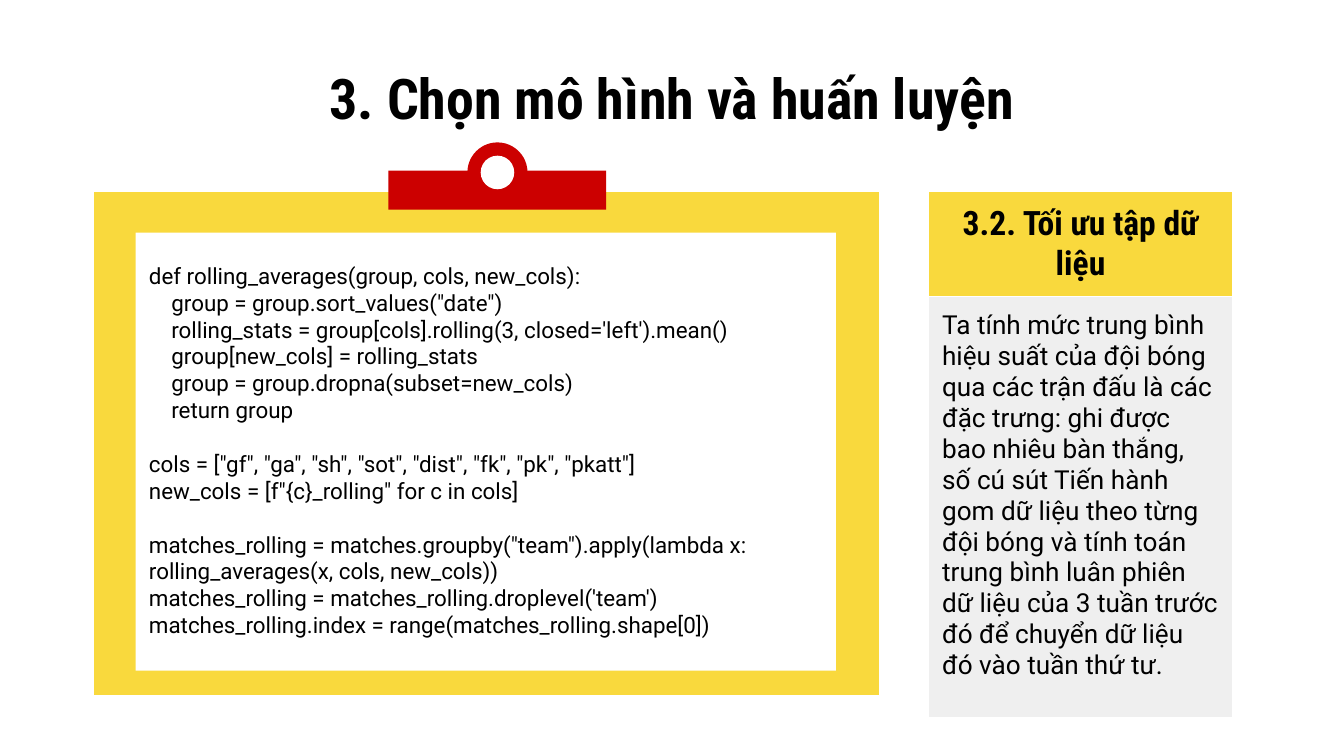
import pptx
import pptx.util
import pptx.dml.color
import pptx.enum.shapes
import pptx.enum.text
import pptx.oxml
import pptx.oxml.ns

Pt = pptx.util.Pt
Kind = pptx.enum.shapes.MSO_SHAPE
Align = pptx.enum.text.PP_ALIGN
Anchor = pptx.enum.text.MSO_ANCHOR
Fit = pptx.enum.text.MSO_AUTO_SIZE

YELLOW, RED, GRAY, WHITE, BLACK = "F9D93D", "CC0000", "EFEFEF", "FFFFFF", "000000"
HEAD, BODY = "Roboto Condensed", "Roboto"
STEP = 12

TITLE = "3. Chọn mô hình và huấn luyện"
TOPIC = "3.2. Tối ưu tập dữ liệu"
NOTE = (
    "Ta tính mức trung bình hiệu suất của đội bóng qua các trận đấu là các đặc trưng: "
    "ghi được bao nhiêu bàn thắng, số cú sút Tiến hành gom dữ liệu theo từng đội bóng "
    "và tính toán trung bình luân phiên dữ liệu của 3 tuần trước đó để chuyển dữ liệu "
    "đó vào tuần thứ tư."
)
CODE = [
    [
        (0, "def rolling_averages(group, cols, new_cols):"),
        (1, 'group = group.sort_values("date")'),
        (1, "rolling_stats = group[cols].rolling(3, closed='left').mean()"),
        (1, "group[new_cols] = rolling_stats"),
        (1, "group = group.dropna(subset=new_cols)"),
        (1, "return group"),
    ],
    [
        (0, 'cols = ["gf", "ga", "sh", "sot", "dist", "fk", "pk", "pkatt"]'),
        (0, 'new_cols = [f"{c}_rolling" for c in cols]'),
    ],
    [
        (0, 'matches_rolling = matches.groupby("team").apply(lambda x: '
            "rolling_averages(x, cols, new_cols))"),
        (0, "matches_rolling = matches_rolling.droplevel('team')"),
        (0, "matches_rolling.index = range(matches_rolling.shape[0])"),
    ],
]


def paint(fill, tone):
    fill.solid()
    fill.fore_color.rgb = pptx.dml.color.RGBColor.from_string(tone)


def write(para, text, size=12, font=BODY, bold=False, align=Align.LEFT,
          line=None, before=0, indent=0):
    para.alignment = align
    para.line_spacing = line
    para.space_before = Pt(before)
    if indent:
        para._p.get_or_add_pPr().set("marL", str(Pt(indent)))
    run = para.add_run()
    run.text = text
    run.font.name = font
    run.font.size = Pt(size)
    run.font.bold = bold
    paint(run.font.fill, BLACK)


def pad(frame, gap):
    frame.margin_left = frame.margin_right = Pt(gap)
    frame.margin_top = frame.margin_bottom = Pt(gap)


def block(group, kind, box, tone):
    shape = group.shapes.add_shape(kind, *map(Pt, box))
    shape.shadow.inherit = False
    shape.line.fill.background()
    paint(shape.fill, tone)
    return shape


def add_title(slide):
    title = slide.shapes.title
    title.left, title.top, title.width, title.height = map(Pt, (56.2, 42.5, 607.6, 32.4))
    frame = title.text_frame
    frame.auto_size = Fit.NONE
    frame.vertical_anchor = Anchor.MIDDLE
    pad(frame, 7.2)
    write(frame.paragraphs[0], TITLE, size=30, font=HEAD, bold=True,
          align=Align.CENTER, line=0.5)


def add_board(slide):
    group = slide.shapes.add_group_shape()
    block(group, Kind.RECTANGLE, (50.4, 103, 420.5, 269.3), YELLOW)
    block(group, Kind.RECTANGLE, (72.7, 124.6, 375.1, 234.7), WHITE)
    block(group, Kind.RECTANGLE, (208.1, 91.4, 116.6, 21), RED)
    arch = block(group, Kind.PIE, (250.4, 76.3, 32.2, 32.2), RED)
    arch.adjustments[0], arch.adjustments[1] = 108, 0
    block(group, Kind.OVAL, (257.5, 83.4, 18, 18), WHITE)


def edge(cell):
    props = cell._tc.get_or_add_tcPr()
    space = pptx.oxml.ns.nsdecls("a")
    for spot, side in enumerate(("lnL", "lnR", "lnT", "lnB")):
        props.insert(spot, pptx.oxml.parse_xml(
            f'<a:{side} {space} w="{Pt(0.75)}"><a:solidFill>'
            f'<a:srgbClr val="{WHITE}"/></a:solidFill></a:{side}>'))


def add_panel(slide):
    table = slide.shapes.add_table(2, 1, *map(Pt, (497.5, 102.4, 162.7, 270))).table
    table.first_row = table.horz_banding = False
    rows = [
        (44.6, YELLOW, Anchor.MIDDLE, TOPIC,
         dict(size=18, font=HEAD, bold=True, align=Align.CENTER)),
        (225.4, GRAY, Anchor.TOP, NOTE, dict(size=14)),
    ]
    for row, (high, tone, anchor, text, style) in zip(table.rows, rows):
        row.height = Pt(high)
        cell = row.cells[0]
        paint(cell.fill, tone)
        edge(cell)
        pad(cell, 7.2)
        cell.vertical_anchor = anchor
        write(cell.text_frame.paragraphs[0], text, **style)


def add_code(slide):
    frame = slide.shapes.add_textbox(*map(Pt, (72.7, 136.8, 375.1, 211))).text_frame
    frame.word_wrap = True
    frame.auto_size = Fit.SHAPE_TO_FIT_TEXT
    para = frame.paragraphs[0]
    for part, lines in enumerate(CODE):
        for spot, (depth, text) in enumerate(lines):
            if part or spot:
                para = frame.add_paragraph()
            gap = 14.4 if part and not spot else 0
            write(para, text, before=gap, indent=depth * STEP)


def main():
    deck = pptx.Presentation()
    deck.slide_width, deck.slide_height = Pt(720), Pt(405)
    slide = deck.slides.add_slide(deck.slide_layouts[5])
    add_board(slide)
    add_title(slide)
    add_panel(slide)
    add_code(slide)
    deck.save("out.pptx")


if __name__ == "__main__":
    main()
